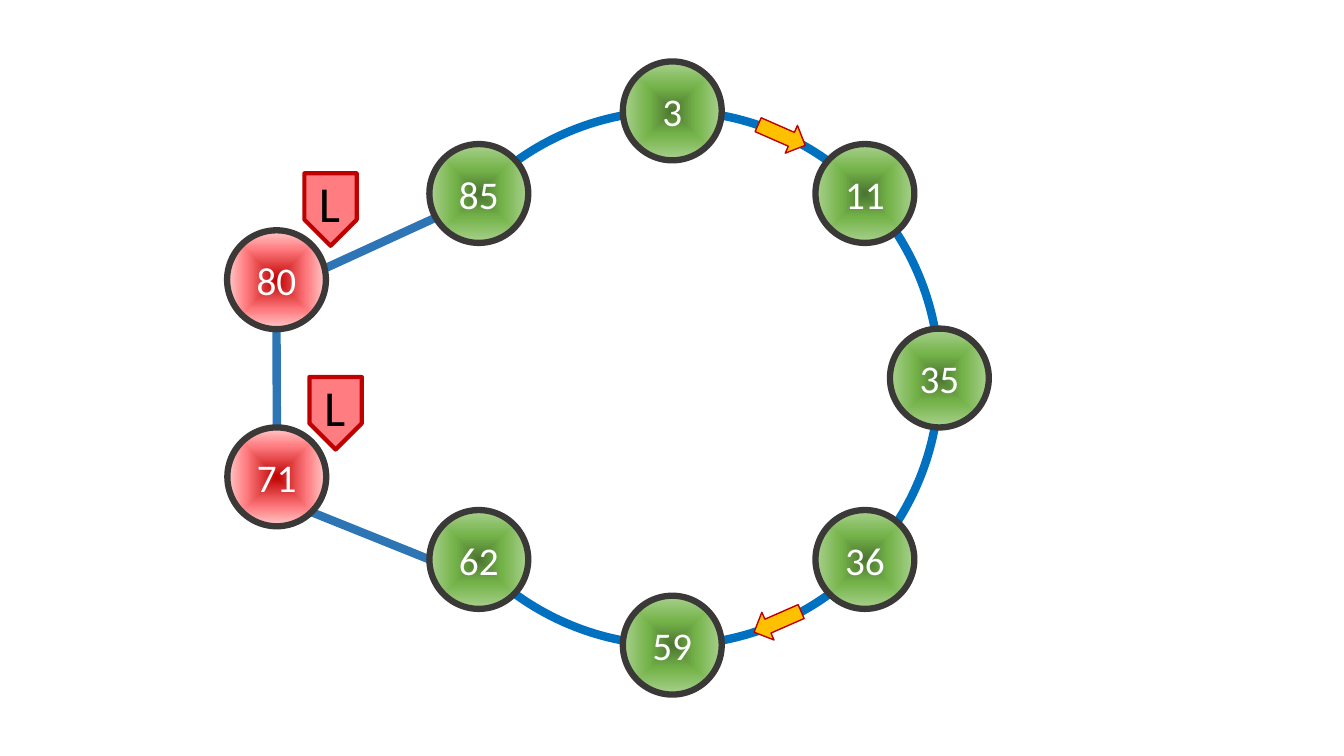
from dataclasses import dataclass

from lxml import etree
from pptx import Presentation
from pptx.dml.color import RGBColor
from pptx.enum import shapes, text
from pptx.oxml import ns, parse_xml
from pptx.util import Pt


@dataclass(frozen=True)
class Theme:
    font: str = "Calibri"
    node_size: float = 28
    badge_size: float = 36
    white: str = "FFFFFF"
    black: str = "000000"
    ring: str = "0070C0"
    link: str = "2E75B6"
    outline: str = "3B3838"
    dark_red: str = "C00000"
    light_red: str = "FF7C80"
    arrow: str = "FFC000"
    green_stops: tuple = ((0, "4B7430"), (48, "74B349"), (100, "A9D18E"))
    red_stops: tuple = ((0, "C00000"), (62, "FF7C80"), (100, "FFCCCC"))


@dataclass(frozen=True)
class Node:
    label: str
    x: float  # centre
    y: float
    leaving: bool = False


@dataclass(frozen=True)
class Link:
    start: tuple
    end: tuple


@dataclass(frozen=True)
class Arrow:
    left: float
    top: float
    angle: float


@dataclass(frozen=True)
class Badge:
    left: float
    top: float


T = Theme()
CENTER_X, CENTER_Y, RADIUS = 480.2, 270, 190.8
NODE_D = 70.6
ARROW_W, ARROW_H = 36.7, 21.6
BADGE_W, BADGE_H = 51.8, 37.4
LEFT_X, RIGHT_X, UPPER_Y, LOWER_Y = 342, 617.8, 138.2, 399.6

NODES = [
    Node("3", CENTER_X, CENTER_Y - RADIUS),
    Node("35", CENTER_X + RADIUS, CENTER_Y),
    Node("59", CENTER_X, CENTER_Y + RADIUS),
    Node("85", LEFT_X, UPPER_Y),
    Node("11", RIGHT_X, UPPER_Y),
    Node("36", RIGHT_X, LOWER_Y),
    Node("62", LEFT_X, LOWER_Y),
    Node("71", 197.7, 340.6, leaving=True),
    Node("80", 197.5, 199.8, leaving=True),
]
LINKS = [
    Link((197.5, 235.4), (197.8, 305.3)),
    Link((222.5, 365.8), (306.7, 399.6)),
    Link((232.6, 191.5), (309.6, 156.2)),
]
ARROWS = [Arrow(540, 85.7, 23.7), Arrow(537.1, 433.4, 156.3)]
BADGES = [Badge(213.8, 276.5), Badge(210.2, 131)]

# White area that opens the ring on its left side
GAP = [
    (252.7, 73.4), (267.8, 69.8), (280, 80.6), (308.2, 132.5), (324.7, 166.3),
    (337.7, 203.8), (344.2, 250.6), (341.3, 288), (334.1, 320.4), (327.6, 364.3),
    (319, 378), (311, 391.7), (299.5, 367.2), (280.8, 318.2), (253.4, 265.7),
    (236.2, 224.6), (228.2, 180), (240.5, 136.1), (247, 97.2),
]


def style(sp, fill: str | None, line: str, width: float) -> None:
    sp.shadow.inherit = False
    if fill is None:
        sp.fill.background()
    else:
        sp.fill.solid()
        sp.fill.fore_color.rgb = RGBColor.from_string(fill)
    sp.line.color.rgb = RGBColor.from_string(line)
    sp.line.width = Pt(width)


def radial_fill(sp, stops: tuple) -> None:
    """Replace the solid fill by a gradient spreading from the centre."""
    gs = "".join(f'<a:gs pos="{pos * 1000}"><a:srgbClr val="{color}"/></a:gs>'
                 for pos, color in stops)
    grad = parse_xml(
        f'<a:gradFill {ns.nsdecls("a")} rotWithShape="1"><a:gsLst>{gs}</a:gsLst>'
        '<a:path path="shape"><a:fillToRect l="50000" t="50000" r="50000" b="50000"/>'
        '</a:path></a:gradFill>')
    solid = sp._element.spPr.find(ns.qn("a:solidFill"))
    solid.getparent().replace(solid, grad)


def write(tf, label: str, size: float, color: str) -> None:
    p = tf.paragraphs[0]
    p.alignment = text.PP_ALIGN.CENTER
    r = p.add_run()
    r.text = label
    r.font.name = T.font
    r.font.size = Pt(size)
    r.font.color.rgb = RGBColor.from_string(color)


def draw_ring(s) -> None:
    sp = s.shapes.add_shape(shapes.MSO_SHAPE.OVAL, Pt(CENTER_X - RADIUS),
                            Pt(CENTER_Y - RADIUS), Pt(2 * RADIUS), Pt(2 * RADIUS))
    style(sp, None, T.ring, 6)


def draw_gap(s) -> None:
    (x, y), *rest = [(Pt(px), Pt(py)) for px, py in GAP]
    builder = s.shapes.build_freeform(x, y)
    builder.add_line_segments(rest, close=True)
    style(builder.convert_to_shape(), T.white, T.white, 1)


def draw_link(s, link: Link) -> None:
    line = s.shapes.add_connector(shapes.MSO_CONNECTOR.STRAIGHT,
                                  *map(Pt, link.start + link.end))
    line.line.color.rgb = RGBColor.from_string(T.link)
    line.line.width = Pt(6)
    etree.SubElement(line._element.spPr, ns.qn("a:effectLst"))


def draw_node(s, node: Node) -> None:
    sp = s.shapes.add_shape(shapes.MSO_SHAPE.OVAL, Pt(node.x - NODE_D / 2),
                            Pt(node.y - NODE_D / 2), Pt(NODE_D), Pt(NODE_D))
    style(sp, T.white, T.outline, 4.5)
    radial_fill(sp, T.red_stops if node.leaving else T.green_stops)
    sp.text_frame.vertical_anchor = text.MSO_ANCHOR.MIDDLE
    write(sp.text_frame, node.label, T.node_size, T.white)


def draw_arrow(s, arrow: Arrow) -> None:
    sp = s.shapes.add_shape(shapes.MSO_SHAPE.RIGHT_ARROW, Pt(arrow.left),
                            Pt(arrow.top), Pt(ARROW_W), Pt(ARROW_H))
    sp.rotation = arrow.angle
    style(sp, T.arrow, T.dark_red, 1)


def draw_badge(s, badge: Badge) -> None:
    group = s.shapes.add_group_shape()
    sp = group.shapes.add_shape(shapes.MSO_SHAPE.PENTAGON, Pt(badge.left),
                                Pt(badge.top), Pt(BADGE_W), Pt(BADGE_H))
    sp.rotation = 90
    style(sp, T.light_red, T.dark_red, 3)
    box = group.shapes.add_textbox(Pt(badge.left + 6.5), Pt(badge.top - 11.5),
                                   Pt(BADGE_H), Pt(51))
    tf = box.text_frame
    tf.word_wrap = True
    tf.auto_size = text.MSO_AUTO_SIZE.SHAPE_TO_FIT_TEXT
    write(tf, "L", T.badge_size, T.black)


def main() -> None:
    prs = Presentation()
    prs.slide_width, prs.slide_height = Pt(960), Pt(540)
    s = prs.slides.add_slide(prs.slide_layouts[6])

    # Ring, opened on the left, and the links of the detour
    draw_ring(s)
    draw_gap(s)
    for link in LINKS:
        draw_link(s, link)

    # Nodes, direction arrows and badges
    for node in NODES:
        draw_node(s, node)
    for arrow in ARROWS:
        draw_arrow(s, arrow)
    for badge in BADGES:
        draw_badge(s, badge)

    prs.save("out.pptx")


if __name__ == "__main__":
    main()
